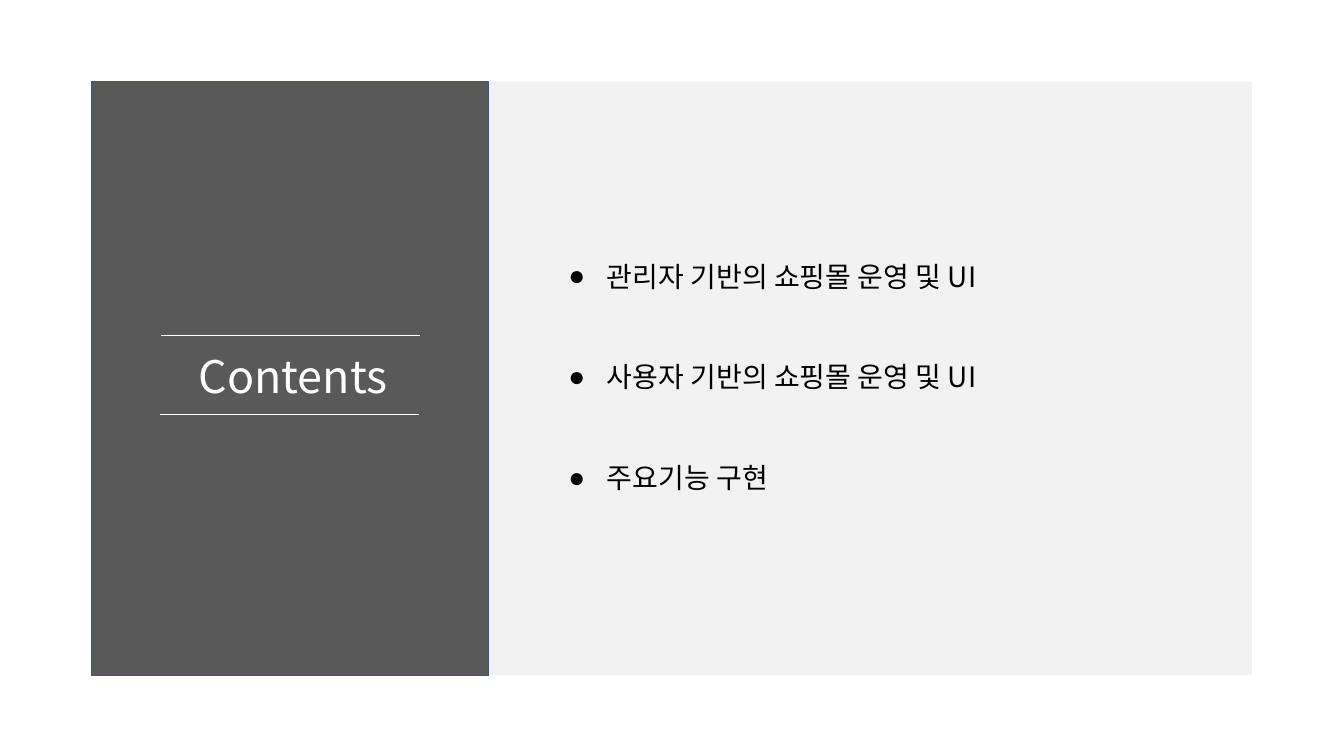
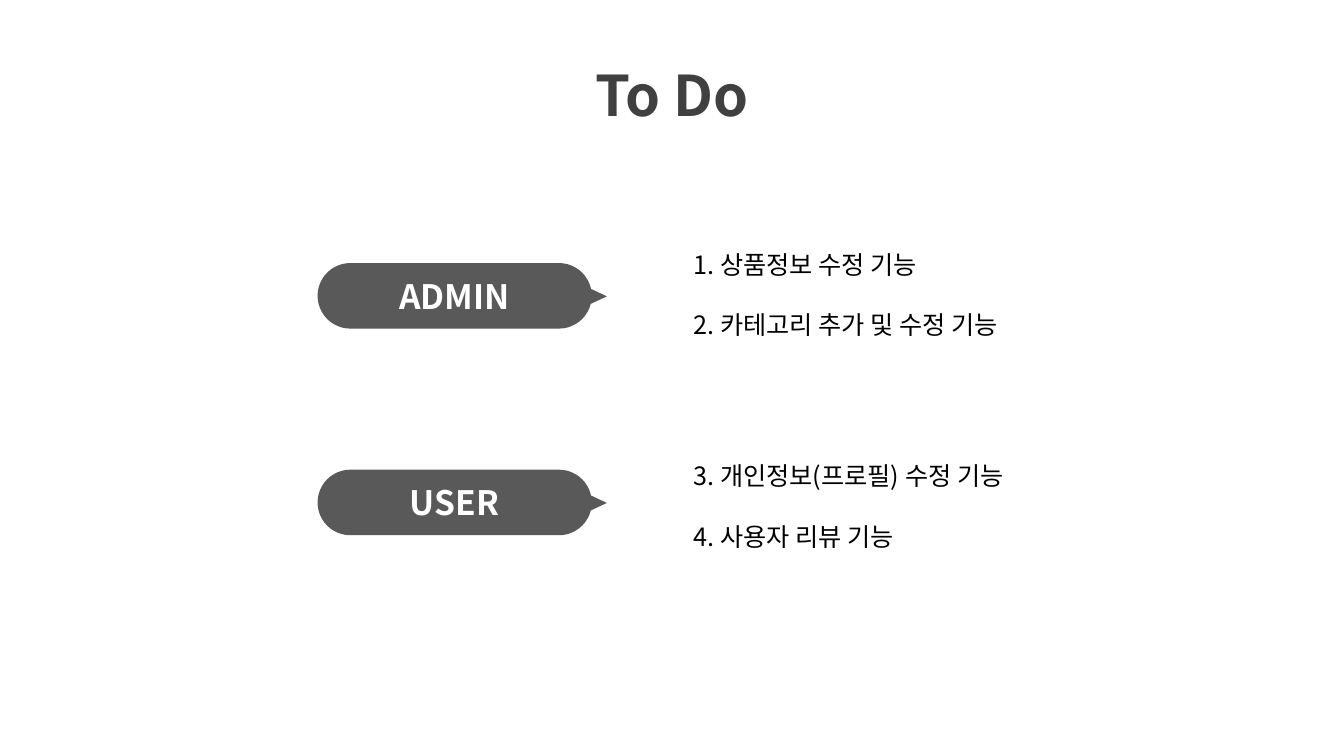
from lxml.etree import SubElement
from pptx import Presentation
from pptx.dml.color import RGBColor
from pptx.enum.shapes import MSO_CONNECTOR, MSO_SHAPE
from pptx.enum.text import MSO_ANCHOR, MSO_AUTO_SIZE, PP_ALIGN
from pptx.oxml.ns import qn
from pptx.util import Inches, Pt

# Shared style
FONT = "Noto Sans CJK KR"
WHITE = RGBColor(0xFF, 0xFF, 0xFF)
BLACK = RGBColor(0, 0, 0)
LIGHT_GRAY = RGBColor(0xF2, 0xF2, 0xF2)
DARK_GRAY = RGBColor(0x59, 0x59, 0x59)
TITLE_GRAY = RGBColor(0x40, 0x40, 0x40)
BORDER_BLUE = RGBColor(0x32, 0x54, 0x91)
LINE_HEIGHT = 1.2
HANGING = Inches(0.38)
WIDTH, HEIGHT = Inches(13.333), Inches(7.5)


def across(percent):
    return round(WIDTH * percent / 100)


def down(percent):
    return round(HEIGHT * percent / 100)


def area(left, top, width, height):
    """Turn percentages of the slide into a box."""
    return across(left), down(top), across(width), down(height)


def write(shape, lines, size, color=BLACK, bold=False, align=PP_ALIGN.LEFT,
          anchor=MSO_ANCHOR.TOP, wrap=True, bullet=None, blank_lines=()):
    """Fill a shape with paragraphs; blank_lines is the gap before each one."""
    frame = shape.text_frame
    frame.word_wrap = wrap
    frame.auto_size = MSO_AUTO_SIZE.NONE
    frame.vertical_anchor = anchor
    frame.text = "\n".join(lines)
    gaps = blank_lines or [0] * len(lines)
    for paragraph, gap in zip(frame.paragraphs, gaps):
        properties = paragraph._p.get_or_add_pPr()
        indent = HANGING if bullet else 0
        properties.set("marL", str(indent))
        properties.set("indent", str(-indent))
        if bullet:
            SubElement(properties, qn("a:buChar")).set("char", bullet)
        else:
            SubElement(properties, qn("a:buNone"))
        paragraph.alignment = align
        paragraph.line_spacing = Pt(size * LINE_HEIGHT)
        paragraph.space_before = Pt(size * LINE_HEIGHT * gap)
        for run in paragraph.runs:
            run.font.size = Pt(size)
            run.font.bold = bold
            run.font.color.rgb = color
            run.font.name = FONT
            east_asian = SubElement(run._r.get_or_add_rPr(), qn("a:ea"))
            east_asian.set("typeface", FONT)


def place(slide, index, box, lines, size, **text_format):
    """Move a template placeholder to the front and fill it."""
    placeholder = slide.placeholders[index]
    slide.shapes._spTree.append(placeholder._element)
    placeholder.left, placeholder.top, placeholder.width, placeholder.height = box
    write(placeholder, lines, size, **text_format)


def add_block(shapes, kind, box, fill, border=None):
    shape = shapes.add_shape(kind, *box)
    shape.shadow.inherit = False
    shape.fill.solid()
    shape.fill.fore_color.rgb = fill
    if border is None:
        shape.line.fill.background()
    else:
        shape.line.color.rgb = border
        shape.line.width = Pt(1)
    return shape


def add_rule(slide, left, right, top):
    rule = slide.shapes.add_connector(MSO_CONNECTOR.STRAIGHT, across(left),
                                      down(top), across(right), down(top))
    rule.line.color.rgb = WHITE
    rule.line.width = Pt(0.5)
    SubElement(rule._element.spPr, qn("a:effectLst"))


def add_pointer_label(slide, text, top):
    """A pill with a small arrow on its right side."""
    shapes = slide.shapes.add_group_shape().shapes
    arrow = add_block(shapes, MSO_SHAPE.ISOSCELES_TRIANGLE,
                      area(42.98, top + 2.4, 2.1, 4), DARK_GRAY)
    arrow.rotation = 90
    pill = add_block(shapes, MSO_SHAPE.ROUNDED_RECTANGLE,
                     area(23.63, top, 20.4, 8.67), DARK_GRAY)
    pill.adjustments[0] = 0.5
    write(pill, [text], 24, color=WHITE, bold=True, align=PP_ALIGN.CENTER,
          anchor=MSO_ANCHOR.MIDDLE)


def build_contents(slide):
    # Panels
    add_block(slide.shapes, MSO_SHAPE.RECTANGLE,
              area(36.3, 10.8, 56.85, 78.53), LIGHT_GRAY)
    add_block(slide.shapes, MSO_SHAPE.RECTANGLE,
              area(6.83, 10.8, 29.52, 78.53), DARK_GRAY, BORDER_BLUE)
    # Title between two rules
    place(slide, 0, area(14.03, 45.47, 15.9, 8.53), ["Contents"], 32,
          color=WHITE, wrap=False)
    add_rule(slide, 12, 31.27, 44.4)
    add_rule(slide, 11.93, 31.2, 54.8)
    # Topics
    topics = ["관리자 기반의 쇼핑몰 운영 및 UI",
              "사용자 기반의 쇼핑몰 운영 및 UI",
              "주요기능 구현"]
    place(slide, 1, area(41.55, 33.6, 48.6, 32.8), topics, 20,
          bullet="●", blank_lines=(0, 2, 2))


def build_to_do(slide):
    place(slide, 0, area(24.68, 7.33, 50.63, 10.27), ["To Do"], 40,
          color=TITLE_GRAY, bold=True, align=PP_ALIGN.CENTER)
    # Tasks of both roles
    tasks = ["1. 상품정보 수정 기능",
             "2. 카테고리 추가 및 수정 기능",
             "3. 개인정보(프로필) 수정 기능",
             "4. 사용자 리뷰 기능"]
    place(slide, 1, area(50.85, 32.27, 25.58, 45.87), tasks, 18,
          blank_lines=(0, 1, 4, 1))
    # Role labels
    for row, role in enumerate(["ADMIN", "USER"]):
        add_pointer_label(slide, role, 34.8 + row * 27.33)


def main():
    presentation = Presentation()
    presentation.slide_width, presentation.slide_height = WIDTH, HEIGHT
    layout = presentation.slide_layouts[1]
    for build in (build_contents, build_to_do):
        build(presentation.slides.add_slide(layout))
    presentation.save("out.pptx")


if __name__ == "__main__":
    main()
